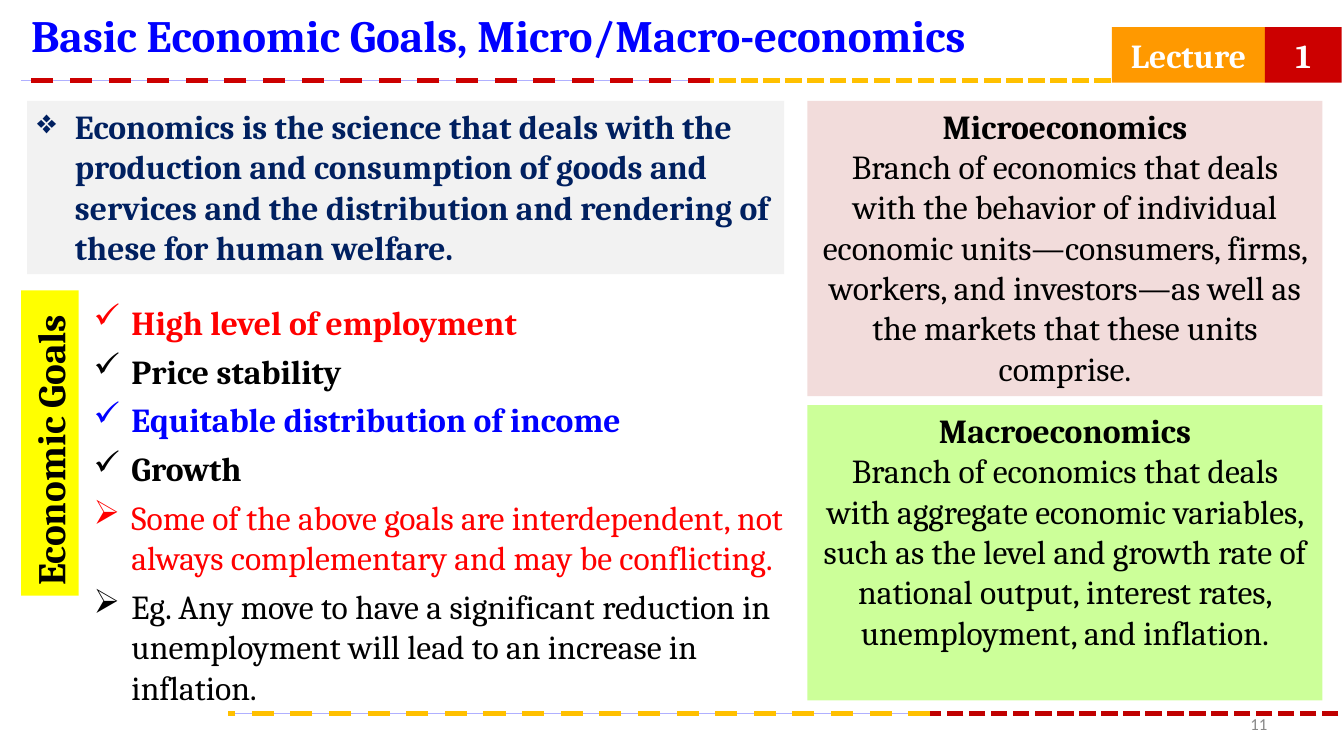
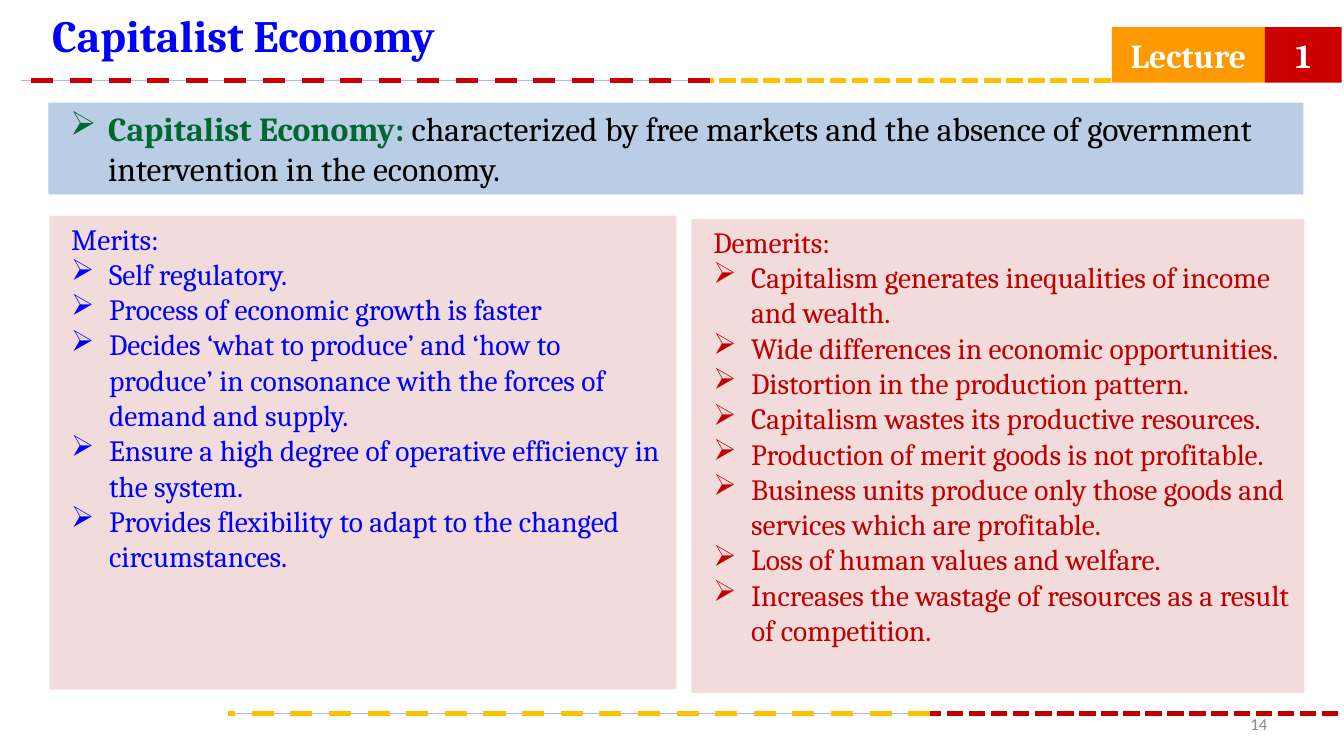
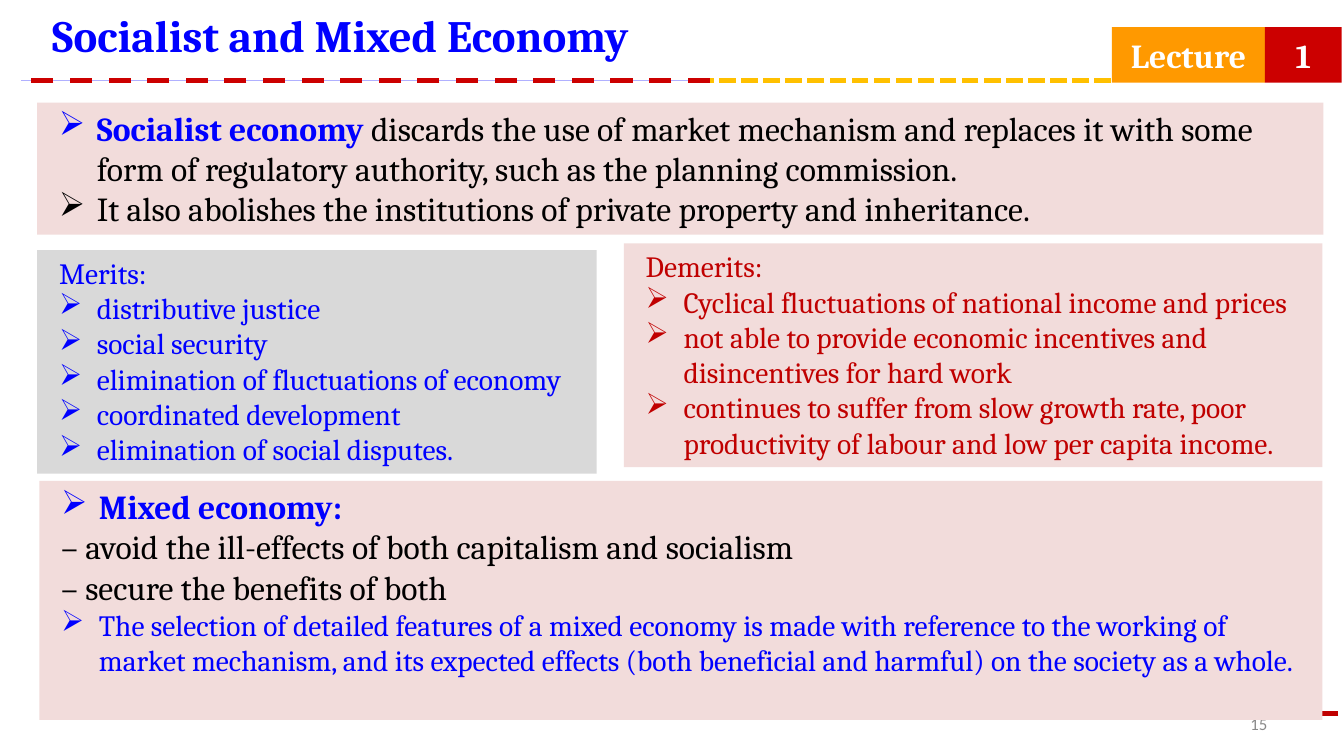
from dataclasses import dataclass

from lxml.etree import SubElement
from pptx import Presentation
from pptx.dml.color import RGBColor
from pptx.enum.dml import MSO_LINE
from pptx.enum.shapes import MSO_CONNECTOR, MSO_SHAPE
from pptx.enum.text import MSO_ANCHOR, PP_ALIGN
from pptx.oxml.ns import qn
from pptx.slide import Slide
from pptx.text.text import TextFrame
from pptx.util import Pt


@dataclass(frozen=True)
class Theme:
    font: str = "Cambria"
    number_font: str = "Calibri"
    title_size: float = 32
    label_size: float = 28
    body_size: float = 24
    list_size: float = 21
    number_size: float = 12
    black: str = "000000"
    white: str = "FFFFFF"
    blue: str = "0000FF"
    navy: str = "002060"
    red: str = "FF0000"
    dark_red: str = "C00000"
    band_red: str = "CC0000"
    gold: str = "FFC000"
    orange: str = "FF9900"
    green: str = "00682F"
    hairline: str = "B0B0FF"
    number_gray: str = "898989"
    pale_gray: str = "F2F2F2"
    gray: str = "D9D9D9"
    yellow: str = "FFFF00"
    pink: str = "F2DCDB"
    lime: str = "CCFF99"
    sky: str = "B9CDE5"


THEME = Theme()
ARROW, CHECK, DIAMONDS = "➢", "✓", "❖"
HANGING = 27
MARGIN = 8.5


@dataclass(frozen=True)
class Span:
    text: str
    color: str = THEME.black
    bold: bool = False
    size: float = THEME.body_size
    font: str = THEME.font


@dataclass(frozen=True)
class Line:
    spans: tuple[Span, ...]
    bullet: str = ""
    margin: float = 0
    space_before: float = 0
    align: PP_ALIGN = PP_ALIGN.LEFT


@dataclass(frozen=True)
class Panel:
    left: float
    top: float
    width: float
    height: float
    lines: tuple[Line, ...]
    fill: str = ""
    rotation: float = 0
    anchor: MSO_ANCHOR = MSO_ANCHOR.TOP


@dataclass(frozen=True)
class Dashes:
    """A dashed rule, drawn from its right end to its left end."""
    right: float
    left: float
    top: float
    color: str
    style: MSO_LINE
    hairline: bool = False


@dataclass(frozen=True)
class Page:
    title: str
    title_left: float
    number: int
    panels: tuple[Panel, ...]


def line(text: str, *, color: str = THEME.black, bold: bool = False,
         size: float = THEME.body_size, font: str = THEME.font, bullet: str = "",
         margin: float = 0, space_before: float = 0,
         align: PP_ALIGN = PP_ALIGN.LEFT) -> Line:
    """A paragraph with a single format."""
    return Line((Span(text, color, bold, size, font),), bullet, margin, space_before, align)


def goal(text: str, color: str, *, bullet: str = CHECK, bold: bool = True,
         space_before: float = 6) -> Line:
    return line(text, color=color, bold=bold, bullet=bullet, space_before=space_before)


def definition(heading: str, text: str) -> tuple[Line, ...]:
    return (line(heading, bold=True, align=PP_ALIGN.CENTER),
            line(text, align=PP_ALIGN.CENTER))


def term(name: str, text: str, color: str) -> Line:
    """A bulleted paragraph that opens with a bold coloured term."""
    return Line((Span(name + " ", color, True), Span(text)), ARROW, MARGIN)


def listing(heading: str, color: str, *items: str) -> tuple[Line, ...]:
    """A heading followed by arrow bullets in the same colour."""
    return (line(heading, color=color, size=THEME.list_size, margin=MARGIN),
            *(line(item, color=color, size=THEME.list_size, bullet=ARROW, margin=MARGIN)
              for item in items))


def write(frame: TextFrame, lines: tuple[Line, ...]) -> None:
    for index, row in enumerate(lines):
        para = frame.add_paragraph() if index else frame.paragraphs[0]
        para.alignment = row.align
        para.space_before = Pt(row.space_before)
        properties = para._p.get_or_add_pPr()
        hanging = HANGING if row.bullet else 0
        properties.set("marL", str(Pt(row.margin + hanging)))
        properties.set("indent", str(-Pt(hanging)))
        if row.bullet:
            SubElement(properties, qn("a:buChar")).set("char", row.bullet)
        for part in row.spans:
            span = para.add_run()
            span.text = part.text
            span.font.name = part.font
            span.font.size = Pt(part.size)
            span.font.bold = part.bold
            span.font.color.rgb = RGBColor.from_string(part.color)


def draw_panel(slide: Slide, panel: Panel) -> None:
    area = [Pt(value) for value in (panel.left, panel.top, panel.width, panel.height)]
    if panel.fill:
        box = slide.shapes.add_shape(MSO_SHAPE.RECTANGLE, *area)
        box.shadow.inherit = False
        box.fill.solid()
        box.fill.fore_color.rgb = RGBColor.from_string(panel.fill)
        box.line.fill.background()
    else:
        box = slide.shapes.add_textbox(*area)
    box.rotation = panel.rotation
    frame = box.text_frame
    frame.word_wrap = True
    frame.vertical_anchor = panel.anchor
    write(frame, panel.lines)


def draw_rule(slide: Slide, rule: Dashes, color: str, width: float,
              style: MSO_LINE) -> None:
    connector = slide.shapes.add_connector(
        MSO_CONNECTOR.STRAIGHT, Pt(rule.right), Pt(rule.top), Pt(rule.left), Pt(rule.top))
    connector.line.color.rgb = RGBColor.from_string(color)
    connector.line.width = Pt(width)
    connector.line.dash_style = style
    SubElement(connector._element.spPr, qn("a:effectLst"))


RULES = (
    Dashes(507, 15, 57.6, THEME.band_red, MSO_LINE.DASH, hairline=True),
    Dashes(793.5, 507, 57.6, THEME.gold, MSO_LINE.SQUARE_DOT),
    Dashes(664.5, 163, 509.8, THEME.gold, MSO_LINE.DASH, hairline=True),
    Dashes(956, 664.5, 509.8, THEME.dark_red, MSO_LINE.SQUARE_DOT),
)


def badge(text: str, left: float, width: float, fill: str) -> Panel:
    label = line(text, color=THEME.white, bold=True, align=PP_ALIGN.CENTER)
    return Panel(left, 19.4, width, 39.6, (label,), fill, anchor=MSO_ANCHOR.MIDDLE)


BADGES = (badge("Lecture", 794.2, 109.4, THEME.orange),
          badge("1", 903.6, 54.7, THEME.band_red))


def draw_page(slide: Slide, page: Page) -> None:
    title = line(page.title, color=THEME.blue, bold=True, size=THEME.title_size)
    number = line(str(page.number), color=THEME.number_gray, size=THEME.number_size,
                  font=THEME.number_font, align=PP_ALIGN.RIGHT)
    for rule in RULES:
        if rule.hairline:
            draw_rule(slide, rule, THEME.hairline, 0.5, MSO_LINE.SOLID)
        draw_rule(slide, rule, rule.color, 3.94, rule.style)
    frame = (Panel(page.title_left, 2.2, 722, 46, (title,)),
             Panel(688.3, 505.4, 224, 23.8, (number,), anchor=MSO_ANCHOR.MIDDLE))
    for panel in (*frame, *BADGES, *page.panels):
        draw_panel(slide, panel)


PAGES = (
    Page("Basic Economic Goals, Micro/Macro-economics", 15.1, 11, (
        Panel(59.8, 212, 510.5, 300, (
            goal("High level of employment", THEME.red, space_before=0),
            goal("Price stability", THEME.black),
            goal("Equitable distribution of income", THEME.blue),
            goal("Growth", THEME.black),
            goal("Some of the above goals are interdependent, not always complementary "
                 "and may be conflicting.", THEME.red, bullet=ARROW, bold=False),
            goal("Eg. Any move to have a significant reduction in unemployment will lead "
                 "to an increase in inflation.", THEME.black, bullet=ARROW, bold=False),
        )),
        Panel(19.4, 72, 540.7, 123.8, (
            line("Economics is the science that deals with the production and consumption "
                 "of goods and services and the distribution and rendering of these for "
                 "human welfare.", color=THEME.navy, bold=True, bullet=DIAMONDS),
        ), THEME.pale_gray),
        Panel(-73.4, 295.9, 218.2, 41, (
            line("Economic Goals", bold=True, size=THEME.label_size),
        ), THEME.yellow, rotation=270),
        Panel(576.7, 72, 368, 211, definition(
            "Microeconomics",
            "Branch of economics that deals with the behavior of individual economic "
            "units—consumers, firms, workers, and investors—as well as the markets that "
            "these units comprise."), THEME.pink),
        Panel(576.7, 289.4, 368, 211, definition(
            "Macroeconomics",
            "Branch of economics that deals with aggregate economic variables, such as "
            "the level and growth rate of national output, interest rates, unemployment, "
            "and inflation."), THEME.lime),
    )),
    Page("Capitalist Economy", 30.2, 14, (
        Panel(34.6, 73.4, 896.4, 65.5, (
            term("Capitalist Economy:", "characterized by free markets and the absence "
                 "of government intervention in the economy.", THEME.green),
        ), THEME.sky),
        Panel(35.3, 154.1, 447.8, 338.4, listing(
            "Merits:", THEME.blue,
            "Self regulatory.",
            "Process of economic growth is faster",
            "Decides ‘what to produce’ and ‘how to produce’ in consonance with the forces "
            "of demand and supply.",
            "Ensure a high degree of operative efficiency in the system.",
            "Provides flexibility to adapt to the changed circumstances."), THEME.pink),
        Panel(493.9, 156.5, 437.8, 338.4, listing(
            "Demerits:", THEME.dark_red,
            "Capitalism generates inequalities of income and wealth.",
            "Wide differences in economic opportunities.",
            "Distortion in the production pattern.",
            "Capitalism wastes its productive resources.",
            "Production of merit goods is not profitable.",
            "Business units produce only those goods and services which are profitable.",
            "Loss of human values and welfare.",
            "Increases the wastage of resources as a result of competition."), THEME.pink),
    )),
    Page("Socialist and Mixed Economy", 30.2, 15, (
        Panel(26.6, 73.4, 918.7, 94.3, (
            term("Socialist economy", "discards the use of market mechanism and replaces "
                 "it with some form of regulatory authority, such as the planning "
                 "commission.", THEME.blue),
            line("It also abolishes the institutions of private property and inheritance.",
                 bullet=ARROW, margin=MARGIN),
        ), THEME.pink),
        Panel(26.6, 178.6, 399.6, 159.8, listing(
            "Merits:", THEME.blue,
            "distributive justice",
            "social security",
            "elimination of fluctuations of economy",
            "coordinated development",
            "elimination of social disputes."), THEME.gray),
        Panel(445.7, 173.9, 499, 159.8, listing(
            "Demerits:", THEME.dark_red,
            "Cyclical fluctuations of national income and prices",
            "not able to provide economic incentives and disincentives for hard work",
            "continues to suffer from slow growth rate, poor productivity of labour and "
            "low per capita income."), THEME.pink),
        Panel(28.1, 343.6, 916.6, 170.6, (
            line("Mixed economy:", color=THEME.blue, bold=True, bullet=ARROW,
                 margin=MARGIN),
            line("– avoid the ill-effects of both capitalism and socialism", margin=MARGIN),
            line("– secure the benefits of both", margin=MARGIN),
            line("The selection of detailed features of a mixed economy is made with "
                 "reference to the working of market mechanism, and its expected effects "
                 "(both beneficial and harmful) on the society as a whole.",
                 color=THEME.blue, size=THEME.list_size, bullet=ARROW, margin=MARGIN),
        ), THEME.pink),
    )),
)


def main() -> None:
    deck = Presentation()
    deck.slide_width, deck.slide_height = Pt(960), Pt(540)
    blank = deck.slide_layouts[6]
    for page in PAGES:
        draw_page(deck.slides.add_slide(blank), page)
    deck.save("out.pptx")


if __name__ == "__main__":
    main()
